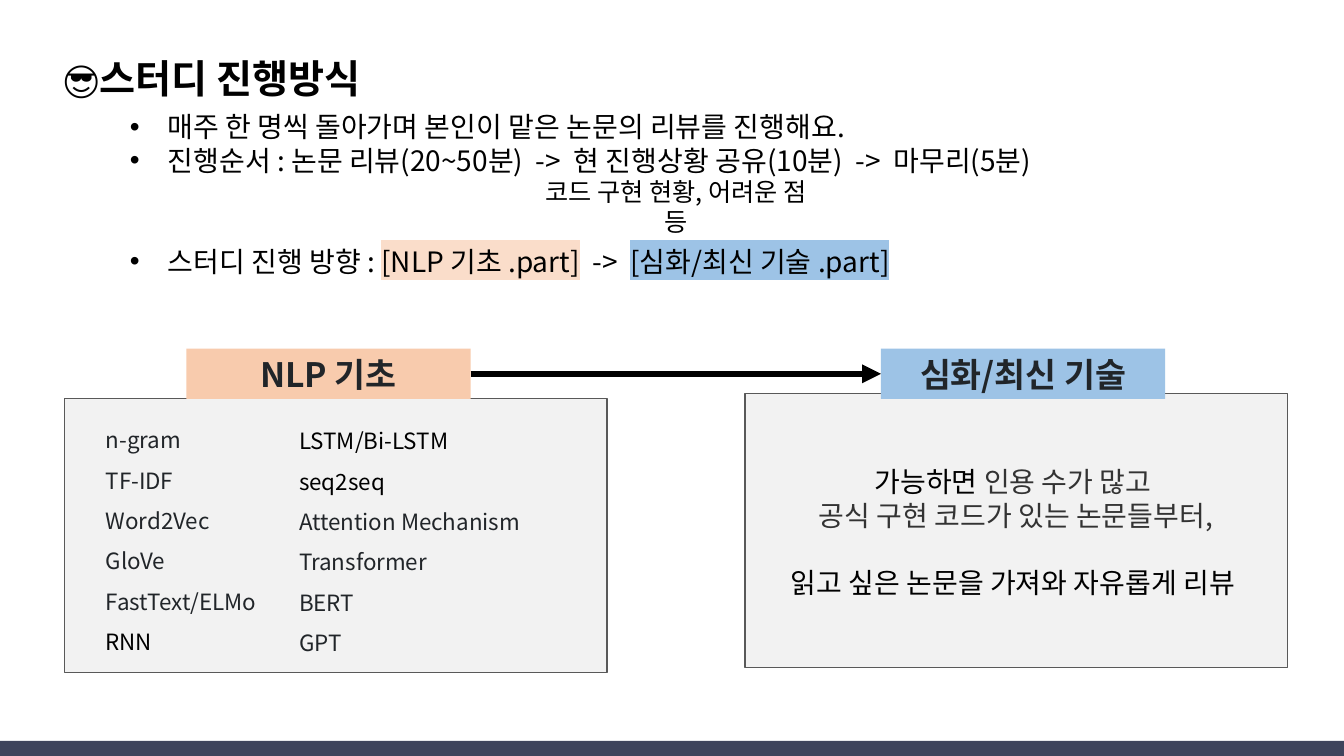
"""Build the study-group format slide with its two-stage learning path."""
from pptx import Presentation
from pptx import util as u
from pptx.dml.color import RGBColor
from pptx.enum import shapes, text
from pptx.oxml import ns, xmlchemy as xml

FONT = "Noto Sans CJK KR"
COLORS = {
    "black": "000000", "ink": "212529", "gray": "333333", "panel": "F2F2F2",
    "border": "595959", "peach": "F8CBAD", "pale_peach": "FADDCA",
    "blue": "9DC3E6", "footer": "3E445C",
}
STEPS = [
    ["매주 한 명씩 돌아가며 본인이 맡은 논문의 리뷰를 진행해요."],
    ["진행순서 : 논문 리뷰(20~50분)  ->  현 진행상황 공유(10분)  ->  마무리(5분)"],
    ["스터디 진행 방향 : ", ("[NLP 기초 .part]", "pale_peach"), "  ->  ",
     ("[심화/최신 기술 .part]", "blue")],
]
BASIC_TOPICS = [("n-gram", "ink"), ("TF-IDF", "ink"), ("Word2Vec", "ink"),
                ("GloVe", "ink"), ("FastText/ELMo", "ink"), ("RNN", "black")]
NEURAL_TOPICS = [("LSTM/Bi-LSTM", "black"), ("seq2seq", "black"),
                 ("Attention Mechanism", "ink"), ("Transformer", "ink"),
                 ("BERT", "ink"), ("GPT", "ink")]


def rgb(name):
    return RGBColor.from_string(COLORS[name])


def add_child(parent, tag, **attributes):
    child = xml.OxmlElement(tag)
    for key, value in attributes.items():
        child.set(key, value)
    parent.append(child)
    return child


def set_font(paragraph, size, color=None, bold=False):
    font = paragraph.font
    font.size, font.bold, font.name = u.Pt(size), bold, FONT
    if color:
        font.color.rgb = rgb(color)
    properties = paragraph._p.get_or_add_pPr().find(ns.qn("a:defRPr"))
    add_child(properties, "a:ea", typeface=FONT)


def add_run(paragraph, content, highlight=None):
    run = paragraph.add_run()
    run.text = content
    if highlight:
        marker = add_child(run._r.get_or_add_rPr(), "a:highlight")
        add_child(marker, "a:srgbClr", val=COLORS[highlight])
    return run


def add_text_frame(container, left, top, width, height):
    box = container.add_textbox(u.Pt(left), u.Pt(top), u.Pt(width), u.Pt(height))
    frame = box.text_frame
    frame.word_wrap = True
    frame.auto_size = text.MSO_AUTO_SIZE.SHAPE_TO_FIT_TEXT
    return frame


def next_paragraph(frame, index):
    return frame.add_paragraph() if index else frame.paragraphs[0]


def add_lines(container, bounds, lines, size, spacing=None, centered=False, bold=False):
    frame = add_text_frame(container, *bounds)
    for index, (content, color) in enumerate(lines):
        paragraph = next_paragraph(frame, index)
        add_run(paragraph, content)
        paragraph.line_spacing = spacing
        if centered:
            paragraph.alignment = text.PP_ALIGN.CENTER
        set_font(paragraph, size, color, bold)
    return frame


def add_steps(slide):
    frame = add_text_frame(slide.shapes, 85.7, 74.9, 858, 128)
    for index, parts in enumerate(STEPS):
        paragraph = next_paragraph(frame, index)
        for part in parts:
            add_run(paragraph, *([part] if isinstance(part, str) else part))
        properties = paragraph._p.get_or_add_pPr()
        properties.set("marL", str(u.Pt(27)))
        properties.set("indent", str(u.Pt(-27)))
        add_child(properties, "a:buFont", typeface="Arial")
        add_child(properties, "a:buChar", char="•")
        set_font(paragraph, 20, "black")
    frame.paragraphs[2].space_before = u.Pt(48)


def add_rectangle(slide, left, top, width, height, fill, border=None):
    shape = slide.shapes.add_shape(
        shapes.MSO_SHAPE.RECTANGLE, u.Pt(left), u.Pt(top), u.Pt(width), u.Pt(height))
    shape.shadow.inherit = False
    shape.fill.solid()
    shape.fill.fore_color.rgb = rgb(fill)
    if border:
        shape.line.color.rgb = rgb(border)
        shape.line.width = u.Pt(1)
    else:
        shape.line.fill.background()
    return shape


def add_stage_label(slide, left, title, fill):
    shape = add_rectangle(slide, left, 249, 203, 36, fill)
    frame = shape.text_frame
    frame.vertical_anchor = text.MSO_ANCHOR.MIDDLE
    paragraph = frame.paragraphs[0]
    paragraph.alignment = text.PP_ALIGN.CENTER
    add_run(paragraph, title)
    set_font(paragraph, 24, "ink", True)
    return shape


def add_arrow(slide, start, end):
    arrow = slide.shapes.add_connector(shapes.MSO_CONNECTOR.STRAIGHT, 0, 0, 0, 0)
    arrow.begin_connect(start, 3)
    arrow.end_connect(end, 1)
    arrow.line.color.rgb = rgb("black")
    arrow.line.width = u.Pt(4.5)
    add_child(arrow.line._get_or_add_ln(), "a:tailEnd", type="triangle")
    add_child(arrow._element.spPr, "a:effectLst")


def add_advice(slide):
    frame = add_lines(slide.shapes, (539.3, 328.3, 373, 104.4), [
        ("가능하면 ", None),
        ("공식 구현 코드가 있는 논문들부터,", "gray"),
        ("읽고 싶은 논문을 가져와 자유롭게 리뷰 ", "black"),
    ], 20, centered=True)
    opening = frame.paragraphs[0]
    add_run(opening, "인용 수가 많고 ")
    for run, color in zip(opening.runs, ("black", "gray")):
        run.font.color.rgb = rgb(color)
    frame.paragraphs[2].space_before = u.Pt(24)


def main():
    presentation = Presentation()
    presentation.slide_width, presentation.slide_height = u.Pt(960), u.Pt(540)
    slide = presentation.slides.add_slide(presentation.slide_layouts[6])
    add_steps(slide)
    add_lines(slide.shapes, (38.2, 18.7, 641.5, 53.3),
              [("😎스터디 진행방식", "black")], 28, 1.5, bold=True)
    for left, top in ((532.1, 281.2), (46.1, 284.6)):
        add_rectangle(slide, left, top, 387.4, 195.8, "panel", "border")
    basics = add_stage_label(slide, 133.2, "NLP 기초", "peach")
    advanced = add_stage_label(slide, 629.3, "심화/최신 기술", "blue")
    add_advice(slide)
    add_arrow(slide, basics, advanced)
    topics = slide.shapes.add_group_shape().shapes
    add_lines(topics, (68.4, 291.6, 138.2, 179.3), BASIC_TOPICS, 16, 1.5)
    add_lines(topics, (206.6, 292.3, 226, 179.3), NEURAL_TOPICS, 16, 1.5)
    add_lines(slide.shapes, (373, 122.4, 219.6, 29),
              [("코드 구현 현황, 어려운 점 등", "black")], 18, centered=True)
    add_rectangle(slide, 0, 529.2, 960, 10.8, "footer")
    presentation.save("out.pptx")


if __name__ == "__main__":
    main()
